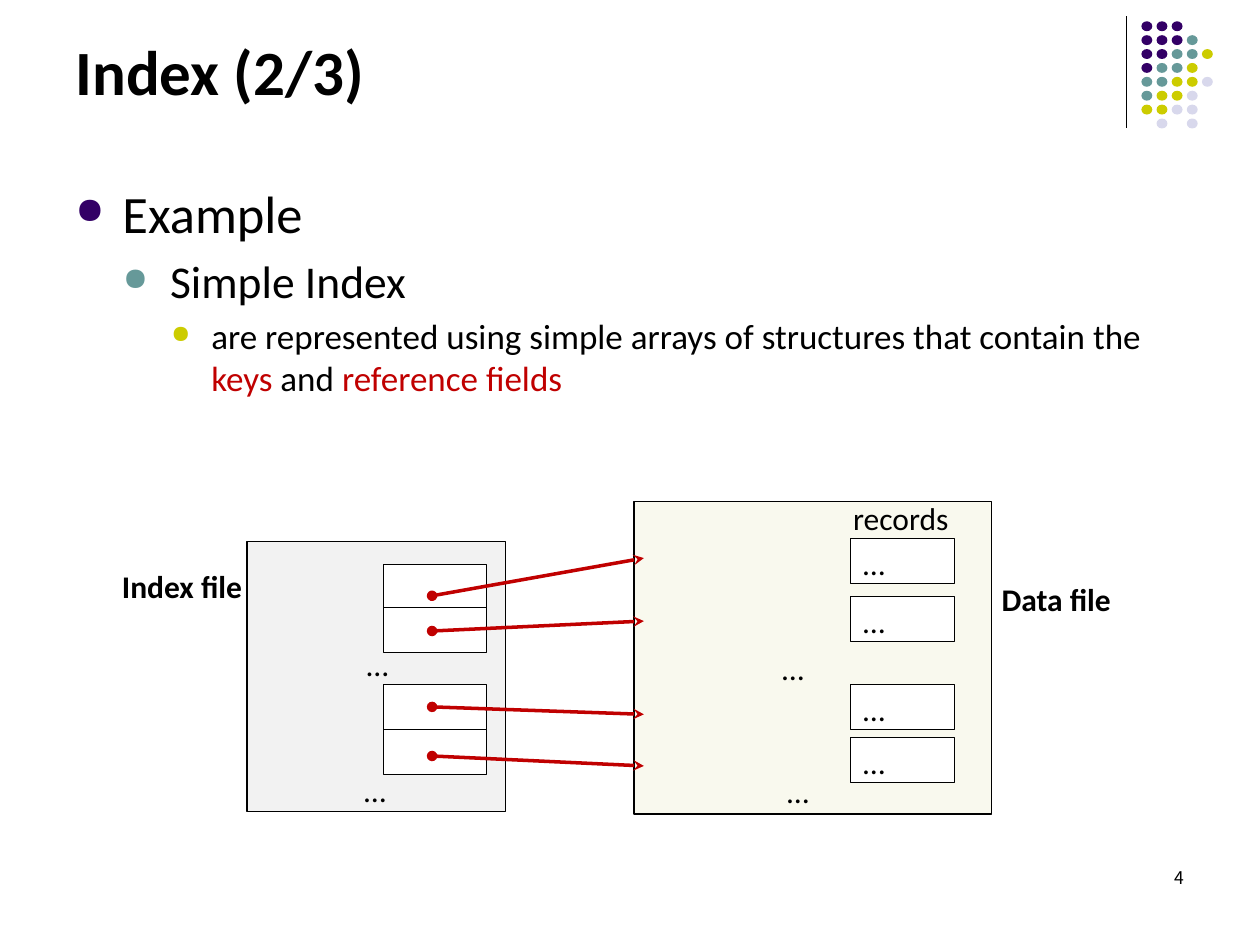
from lxml import etree
from pptx import Presentation
from pptx.dml.color import RGBColor
from pptx.enum.shapes import MSO_CONNECTOR, MSO_SHAPE
from pptx.enum.text import MSO_ANCHOR, PP_ALIGN
from pptx.oxml.ns import qn
from pptx.util import Cm, Pt

RECT, OVAL, STRAIGHT = MSO_SHAPE.RECTANGLE, MSO_SHAPE.OVAL, MSO_CONNECTOR.STRAIGHT
LEFT, RIGHT = PP_ALIGN.LEFT, PP_ALIGN.RIGHT
TOP, MIDDLE = MSO_ANCHOR.TOP, MSO_ANCHOR.MIDDLE

COLORS = {
    "black": "000000", "white": "FFFFFF", "red": "C00000",
    "purple": "330066", "teal": "669999", "olive": "CCCC00", "lilac": "D8D8EC",
    "index": "F2F2F2", "data": "F9F9EE",
}
FONT = "Calibri"
NUMBER_FONT = "Noto Sans CJK KR"

DOT_ROWS = ["PPP", "PPPT", "PPTTO", "PTTO", "TTOOL", "TOOL", "OOLL", " L L"]
DOT_COLORS = {"P": "purple", "T": "teal", "O": "olive", "L": "lilac"}

# left indent, hanging indent (cm), size, bullet colour, space before, runs
OUTLINE = [
    (0.95, 0.95, 30, "purple", 0, [("Example", "black")]),
    (1.91, 0.95, 26, "teal", 5.2, [("Simple Index", "black")]),
    (2.74, 0.81, 20, "olive", 4, [
        ("are represented using simple arrays of structures that contain the ", "black"),
        ("keys", "red"), (" and ", "black"), ("reference fields", "red")]),
]


def rgb(name):
    return RGBColor.from_string(COLORS[name])


def write(paragraph, text, size=18, color="black", bold=False, font=FONT, align=LEFT):
    """Append one formatted run to a paragraph."""
    paragraph.alignment = align
    run = paragraph.add_run()
    run.text = text
    run.font.name, run.font.size, run.font.bold = font, Pt(size), bold
    run.font.color.rgb = rgb(color)


def add_label(slide, text, left, top, width, height=0.91, wrap=False, **style):
    frame = slide.shapes.add_textbox(Cm(left), Cm(top), Cm(width), Cm(height)).text_frame
    frame.word_wrap = wrap
    write(frame.paragraphs[0], text, **style)


def add_block(slide, kind, left, top, width, height, fill, line=None):
    block = slide.shapes.add_shape(kind, Cm(left), Cm(top), Cm(width), Cm(height))
    block.shadow.inherit = False
    block.fill.solid()
    block.fill.fore_color.rgb = rgb(fill)
    if line is None:
        block.line.fill.background()
    else:
        block.line.color.rgb = rgb("black")
        block.line.width = Pt(line)
    return block


def add_line(slide, x1, y1, x2, y2, color="black", width=0.75, ends=()):
    """Draw a line; ends holds the shapes of its head and tail, if any."""
    line = slide.shapes.add_connector(STRAIGHT, Cm(x1), Cm(y1), Cm(x2), Cm(y2))
    line.line.color.rgb = rgb(color)
    line.line.width = Pt(width)
    for tag, kind in zip(("a:headEnd", "a:tailEnd"), ends):
        etree.SubElement(line.line._get_or_add_ln(), qn(tag), type=kind)
    etree.SubElement(line._element.spPr, qn("a:effectLst"))


def add_bullet(paragraph, left, hanging, color):
    props = paragraph._p.get_or_add_pPr()
    props.set("marL", str(Cm(left)))
    props.set("indent", str(-Cm(hanging)))
    bullet_color = etree.SubElement(props, qn("a:buClr"))
    etree.SubElement(bullet_color, qn("a:srgbClr"), val=COLORS[color])
    etree.SubElement(props, qn("a:buSzPct"), val="70000")
    etree.SubElement(props, qn("a:buChar"), char="●")


def add_dot_ornament(slide, left, top):
    add_line(slide, left, top, left, top + 2.26)
    for row, pattern in enumerate(DOT_ROWS):
        for column, code in enumerate(pattern):
            if code != " ":
                add_block(slide, OVAL, left + 0.3 + 1.22 * column / 4, top + 0.1 + 0.28 * row,
                          0.22, 0.2, DOT_COLORS[code])


def set_title(slide, text, left, top, width, height):
    title = slide.shapes.title
    title.left, title.top, title.width, title.height = map(Cm, (left, top, width, height))
    title.text_frame.vertical_anchor = MIDDLE
    write(title.text_frame.paragraphs[0], text, size=36, bold=True)


def add_outline(slide, left, top, width, height):
    frame = slide.shapes.add_textbox(Cm(left), Cm(top), Cm(width), Cm(height)).text_frame
    frame.word_wrap = True
    for number, (indent, hanging, size, bullet, before, runs) in enumerate(OUTLINE):
        paragraph = frame.add_paragraph() if number else frame.paragraphs[0]
        add_bullet(paragraph, indent, hanging, bullet)
        if before:
            paragraph.space_before = Pt(before)
        for text, color in runs:
            write(paragraph, text, size=size, color=color)


def add_cells(slide, left, tops, text=None):
    for top in tops:
        cell = add_block(slide, RECT, left, top, 2.08, 0.91, "white", line=0.25)
        if text:
            cell.text_frame.vertical_anchor = TOP
            write(cell.text_frame.paragraphs[0], text)


def add_data_file(slide, left, top, width, height):
    add_block(slide, RECT, left, top, width, height, "data", line=0.75)
    add_label(slide, "records", left + 4.17, top - 0.18, 2.46)
    add_cells(slide, left + 4.37, [top + y for y in (0.74, 1.91, 3.68, 4.75)], "…")
    for x, y in ((2.74, 2.84), (2.84, 5.33)):
        add_label(slide, "…", left + x, top + y, 0.97)
    add_label(slide, "Data file", left + width - 0.05, top + 1.45, 2.74, bold=True)


def add_index_file(slide, left, top, width, height):
    """Draw the index with its entries and the references that leave it."""
    add_block(slide, RECT, left, top, width, height, "index", line=0.75)
    add_cells(slide, left + 2.74, [top + y for y in (0.46, 1.32, 2.87, 3.78)])
    for x, y in ((2.16, 1.96), (2.11, 4.5)):
        add_label(slide, "…", left + x, top + y, 0.97)
    for entry_y, record_y in ((1.09, 0.33), (1.8, 1.6), (3.33, 3.48), (4.32, 4.52)):
        add_line(slide, left + 3.73, top + entry_y, left + 8, top + record_y,
                 color="red", width=2, ends=("oval", "stealth"))
    add_label(slide, "Index file", left - 2.77, top + 0.38, 2.95, bold=True)


def main():
    deck = Presentation()
    deck.slide_width, deck.slide_height = Cm(25.4), Cm(19.05)
    slide = deck.slides.add_slide(deck.slide_layouts.get_by_name("Title Only"))
    add_dot_ornament(slide, 22.71, 0.33)
    set_title(slide, "Index (2/3)", 1.27, 0.13, 21.44, 2.59)
    add_outline(slide, 1.27, 3.53, 22.86, 13.51)
    add_label(slide, "4", 18.21, 17.35, 5.92, 1.27, wrap=True,
              size=10, font=NUMBER_FONT, align=RIGHT)
    add_data_file(slide, 12.78, 10.11, 7.21, 6.3)
    add_index_file(slide, 4.98, 10.92, 5.21, 5.44)
    deck.save("out.pptx")


if __name__ == "__main__":
    main()
